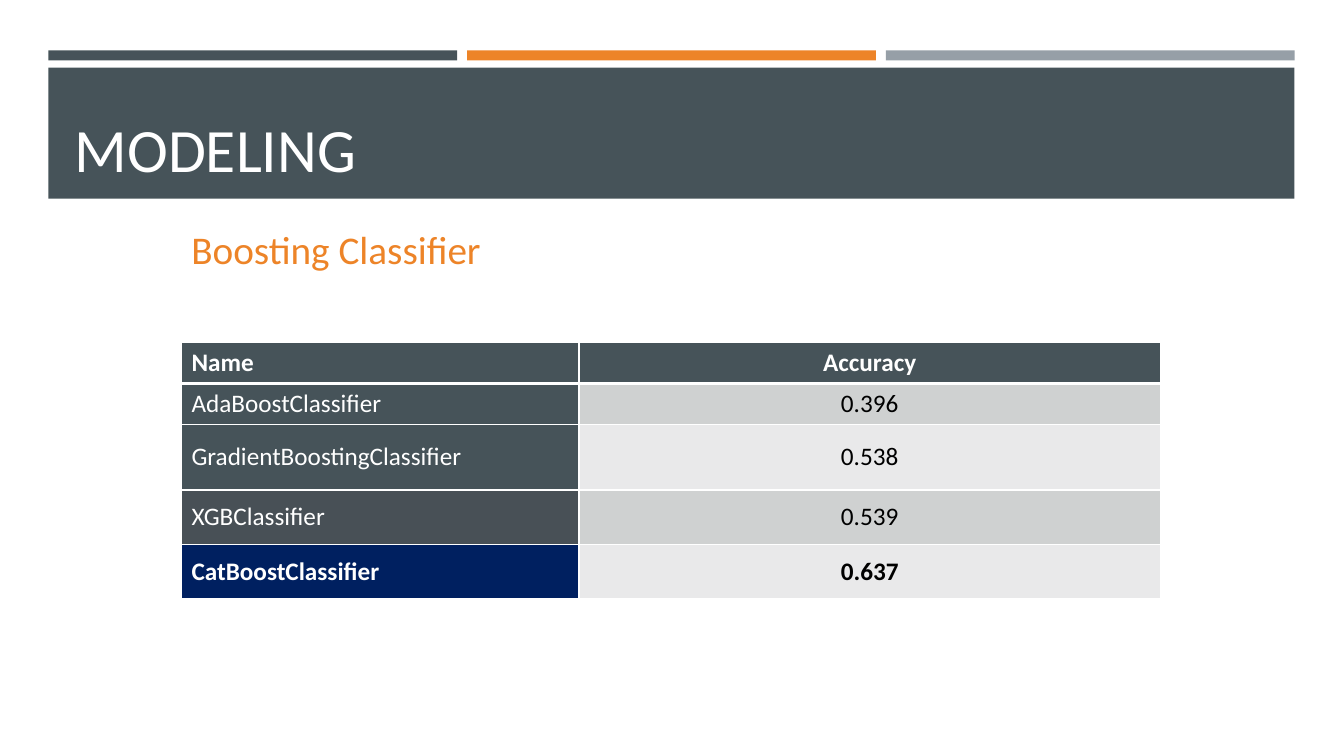
from lxml.etree import SubElement
from pptx import Presentation
from pptx.dml.color import RGBColor
from pptx.enum.shapes import MSO_SHAPE
from pptx.enum.text import MSO_ANCHOR, MSO_AUTO_SIZE, PP_ALIGN
from pptx.oxml.ns import qn
from pptx.util import Inches, Pt

COLORS = {
    "slate": "465359",
    "orange": "ED8428",
    "gray": "969FA7",
    "dark": "485056",
    "navy": "002060",
    "band": "CFD1D1",
    "light": "E9E9EA",
    "white": "FFFFFF",
    "black": "000000",
}
FONT = "Calibri"

# name, accuracy, row height, name fill, accuracy fill, bold
ROWS = [
    ("Name", "Accuracy", 0.4, "slate", "slate", True),
    ("AdaBoostClassifier", "0.396", 0.4, "slate", "band", False),
    ("GradientBoostingClassifier", "0.538", 0.65, "slate", "light", False),
    ("XGBClassifier", "0.539", 0.54, "dark", "band", False),
    ("CatBoostClassifier", "0.637", 0.54, "navy", "light", True),
]
COLUMN_SHARES = (0.406, 0.594)


def rgb(name):
    return RGBColor.from_string(COLORS[name])


def write_text(frame, text, size=18, color="white", bold=False,
               align=PP_ALIGN.LEFT, spacing=None):
    paragraph = frame.paragraphs[0]
    paragraph.alignment = align
    paragraph.line_spacing = spacing
    run = paragraph.add_run()
    run.text = text
    run.font.name = FONT
    run.font.size = Pt(size)
    run.font.bold = bold
    run.font.color.rgb = rgb(color)


def add_bar(slide, left, top, width, height, color):
    bar = slide.shapes.add_shape(MSO_SHAPE.RECTANGLE, Inches(left), Inches(top),
                                 Inches(width), Inches(height))
    bar.shadow.inherit = False
    bar.fill.solid()
    bar.fill.fore_color.rgb = rgb(color)
    bar.line.fill.background()


def add_header(slide, left, top, width, title_text):
    """Three accent strips above a title band."""
    gap = 0.1
    strip_width = (width - 2 * gap) / 3
    for index, color in enumerate(("slate", "orange", "gray")):
        add_bar(slide, left + index * (strip_width + gap), top, strip_width, 0.1, color)
    add_bar(slide, left, top + 0.17, width, 1.3, "slate")

    title = slide.shapes.title
    title.left, title.top = Inches(left + 0.16), Inches(top + 0.27)
    title.width, title.height = Inches(width - 0.3), Inches(1.11)
    frame = title.text_frame
    frame.auto_size = MSO_AUTO_SIZE.NONE
    frame.vertical_anchor = MSO_ANCHOR.BOTTOM
    write_text(frame, title_text, size=44)
    slide.shapes.element.append(title.element)  # bring in front of the band


def add_subtitle(slide, left, top, width, height, text):
    box = slide.shapes.add_textbox(Inches(left), Inches(top), Inches(width), Inches(height))
    frame = box.text_frame
    frame.word_wrap = True
    frame.vertical_anchor = MSO_ANCHOR.BOTTOM
    write_text(frame, text, size=28, color="orange", spacing=0.9)


def set_borders(cell, widths):
    """Draw white borders; widths maps an edge letter (L, R, T, B) to points."""
    properties = cell._tc.get_or_add_tcPr()
    for edge, width in widths.items():
        line = SubElement(properties, qn(f"a:ln{edge}"), w=str(Pt(width)))
        fill = SubElement(line, qn("a:solidFill"))
        SubElement(fill, qn("a:srgbClr"), val=COLORS["white"])


def add_accuracy_table(slide, left, top, width):
    height = sum(row[2] for row in ROWS)
    table = slide.shapes.add_table(len(ROWS), len(COLUMN_SHARES), Inches(left), Inches(top),
                                   Inches(width), Inches(height)).table
    for column, share in zip(table.columns, COLUMN_SHARES):
        column.width = Inches(width * share)
    for index, (name, accuracy, row_height, name_fill, value_fill, bold) in enumerate(ROWS):
        table.rows[index].height = Inches(row_height)
        borders = {"L": 1, "R": 1, "T": 3 if index == 1 else 1, "B": 3 if index == 0 else 1}
        value_color = "white" if index == 0 else "black"
        columns = ((name, name_fill, "white", PP_ALIGN.LEFT),
                   (accuracy, value_fill, value_color, PP_ALIGN.CENTER))
        for cell, (text, fill, color, align) in zip(table.rows[index].cells, columns):
            set_borders(cell, borders)
            cell.fill.solid()
            cell.fill.fore_color.rgb = rgb(fill)
            cell.vertical_anchor = MSO_ANCHOR.MIDDLE
            write_text(cell.text_frame, text, color=color, bold=bold, align=align)


def main():
    presentation = Presentation()
    presentation.slide_width = Inches(13.33)
    presentation.slide_height = Inches(7.5)
    slide = presentation.slides.add_slide(presentation.slide_layouts.get_by_name("Title Only"))
    add_header(slide, 0.48, 0.5, 12.36, "MODELING")
    add_accuracy_table(slide, 1.8, 3.4, 9.71)
    add_subtitle(slide, 1.8, 1.56, 10, 1.2, "Boosting Classifier")
    presentation.save("out.pptx")


if __name__ == "__main__":
    main()
